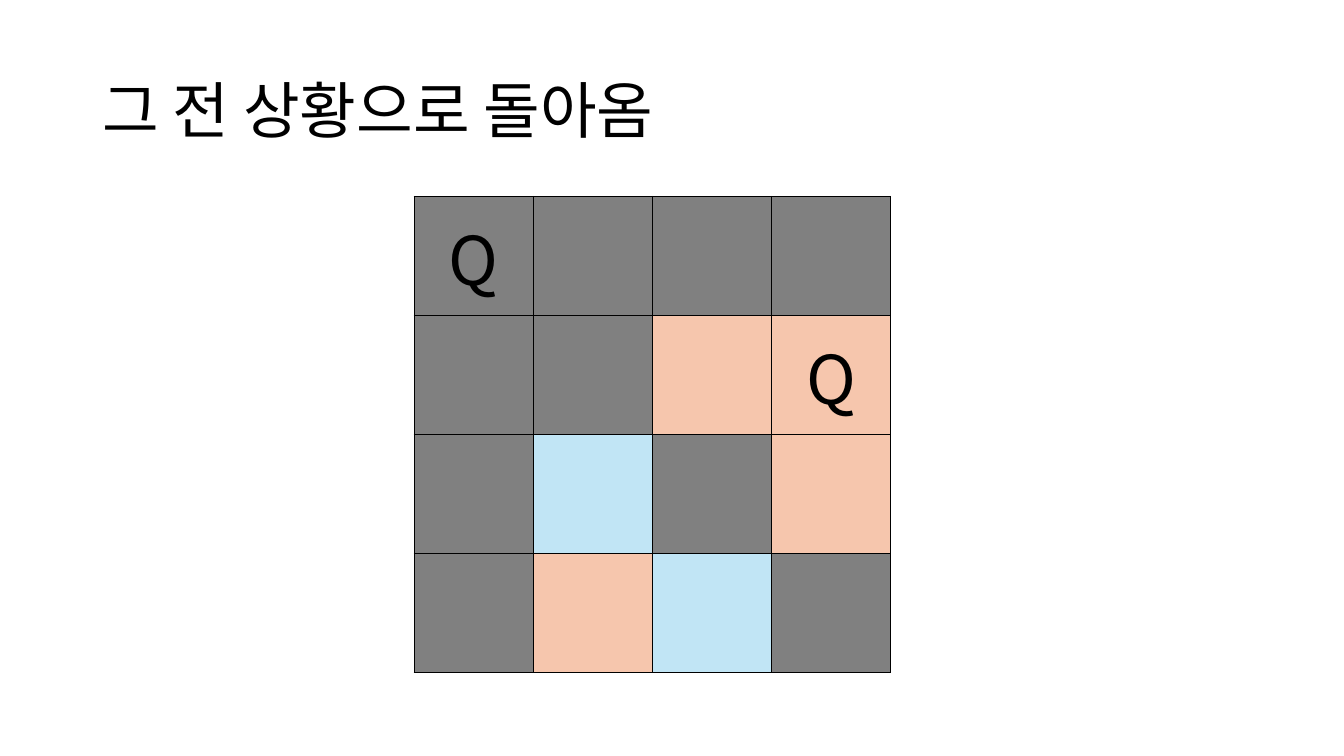
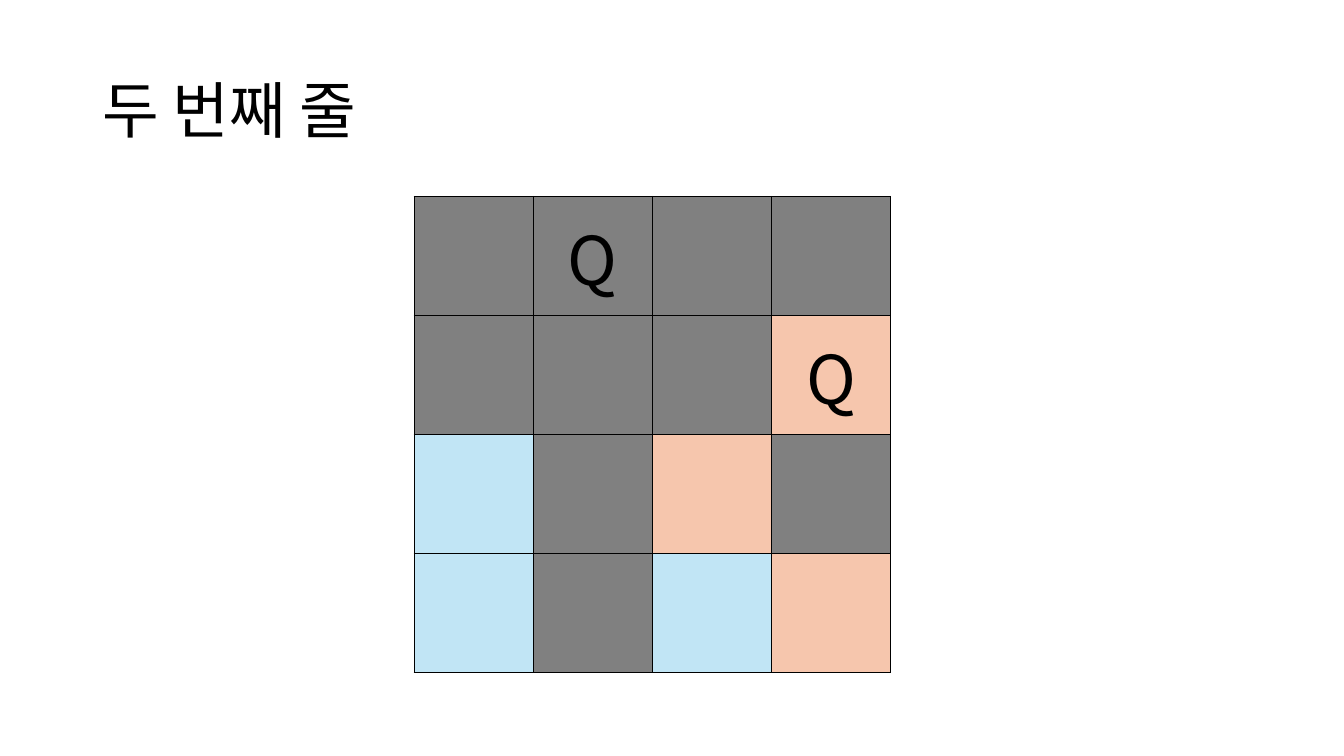
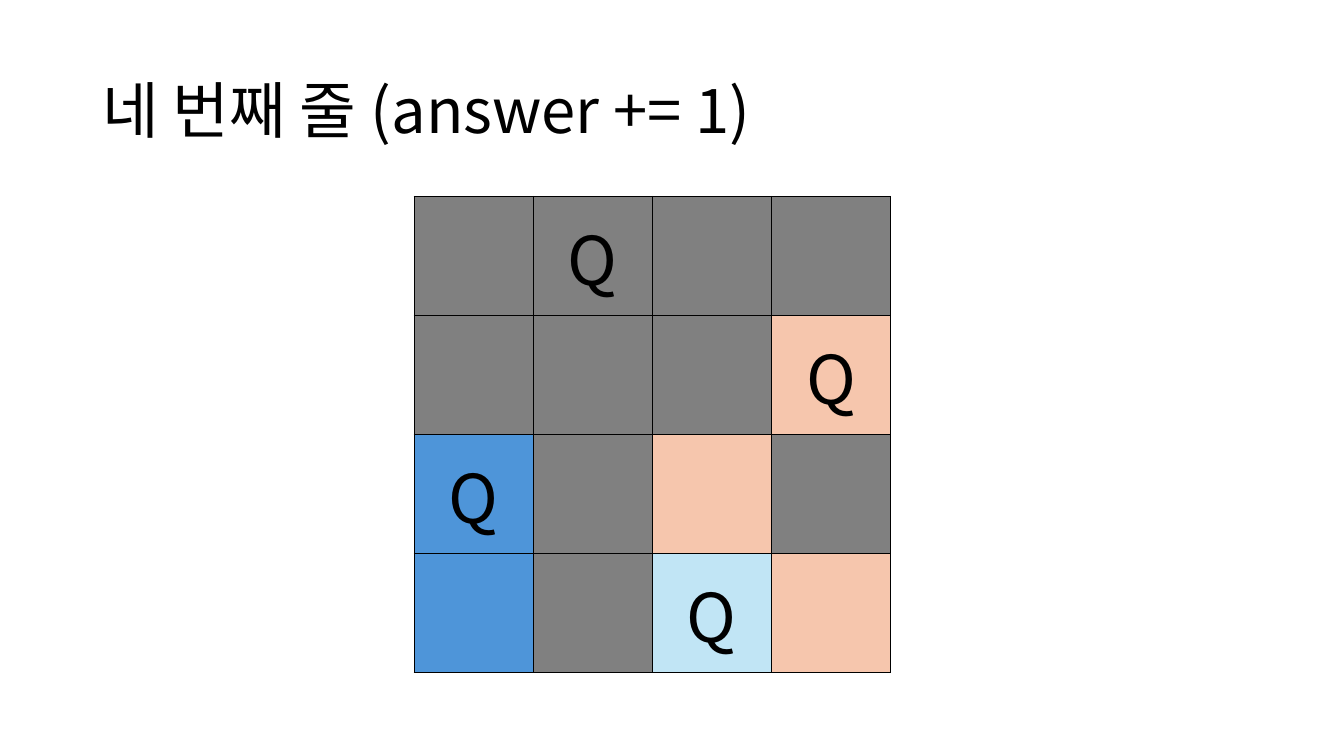
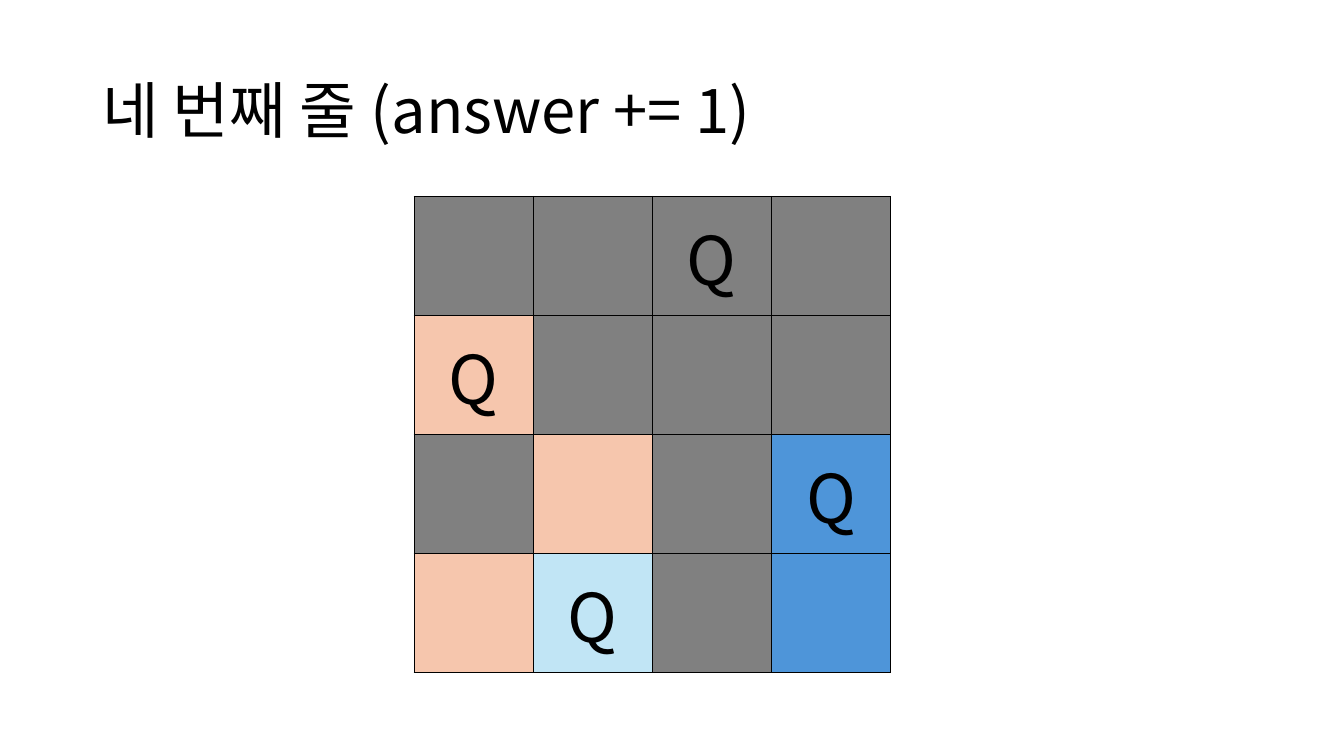
from lxml.etree import SubElement
from pptx import Presentation
from pptx.dml.color import RGBColor
from pptx.enum.text import MSO_ANCHOR, PP_ALIGN
from pptx.oxml import parse_xml
from pptx.oxml.ns import nsdecls, qn
from pptx.util import Cm, Pt

FONT = "Noto Sans CJK KR"
BLACK = "000000"
QUEEN_COLORS = ["808080", "F6C6AD", "4E95D9", "C1E5F5"]
FREE_COLOR = "C1E5F5"
BOARD_SIZE = 4
SQUARE = 3

# Title and the column of the queen in each row, from the top
STEPS = [
    ("그 전 상황으로 돌아옴", [0, 3]),
    ("두 번째 줄", [1, 3]),
    ("네 번째 줄 (answer += 1)", [1, 3, 0, 2]),
    ("네 번째 줄 (answer += 1)", [2, 0, 3, 1]),
]


def rgb(value):
    return RGBColor.from_string(value)


def square_color(queens, row, column):
    """Return the colour of the first queen that reaches the square."""
    for queen_row, queen_column in enumerate(queens):
        down, across = abs(row - queen_row), abs(column - queen_column)
        if down == 0 or across == 0 or down == across:
            return QUEEN_COLORS[queen_row]
    return FREE_COLOR


class Deck:
    """Holds the presentation, its text styles and the current slide."""

    TITLE = {"size": Pt(44), "name": FONT, "bold": False}
    QUEEN = {"size": Pt(48), "name": FONT, "bold": False}

    def __init__(self):
        self.presentation = Presentation()
        self.presentation.slide_width = Cm(33.87)
        self.presentation.slide_height = Cm(19.05)
        self.slide = None

    def add_slide(self):
        self.slide = self.presentation.slides.add_slide(self.presentation.slide_layouts[6])

    def add_text(self, paragraph, text, style):
        run = paragraph.add_run()
        run.text = text
        for name, value in style.items():
            setattr(run.font, name, value)
        run.font.color.rgb = rgb(BLACK)
        SubElement(run._r.get_or_add_rPr(), qn("a:ea"), typeface=FONT)

    def add_title(self, text):
        box = self.slide.shapes.add_textbox(Cm(2.33), Cm(1.01), Cm(29.21), Cm(3.68))
        frame = box.text_frame
        frame.word_wrap = True
        frame.vertical_anchor = MSO_ANCHOR.MIDDLE
        paragraph = frame.paragraphs[0]
        paragraph.line_spacing = 0.9
        self.add_text(paragraph, text, self.TITLE)

    def add_borders(self, cell):
        properties = cell._tc.get_or_add_tcPr()
        for position, side in enumerate("LRTB"):
            properties.insert(position, parse_xml(
                f'<a:ln{side} {nsdecls("a")} w="{Pt(1)}"><a:solidFill>'
                f'<a:srgbClr val="{BLACK}"/></a:solidFill></a:ln{side}>'))

    def add_board(self, queens):
        side = Cm(SQUARE * BOARD_SIZE)
        table = self.slide.shapes.add_table(
            BOARD_SIZE, BOARD_SIZE, Cm(10.44), Cm(4.95), side, side).table
        table.first_row = table.horz_banding = False
        for row in range(BOARD_SIZE):
            for column in range(BOARD_SIZE):
                cell = table.cell(row, column)
                cell.fill.solid()
                cell.fill.fore_color.rgb = rgb(square_color(queens, row, column))
                self.add_borders(cell)
                if (row, column) in enumerate(queens):
                    cell.vertical_anchor = MSO_ANCHOR.MIDDLE
                    paragraph = cell.text_frame.paragraphs[0]
                    paragraph.alignment = PP_ALIGN.CENTER
                    self.add_text(paragraph, "Q", self.QUEEN)


def main():
    deck = Deck()
    for title, queens in STEPS:
        deck.add_slide()
        deck.add_title(title)
        deck.add_board(queens)
    deck.presentation.save("out.pptx")


if __name__ == "__main__":
    main()
